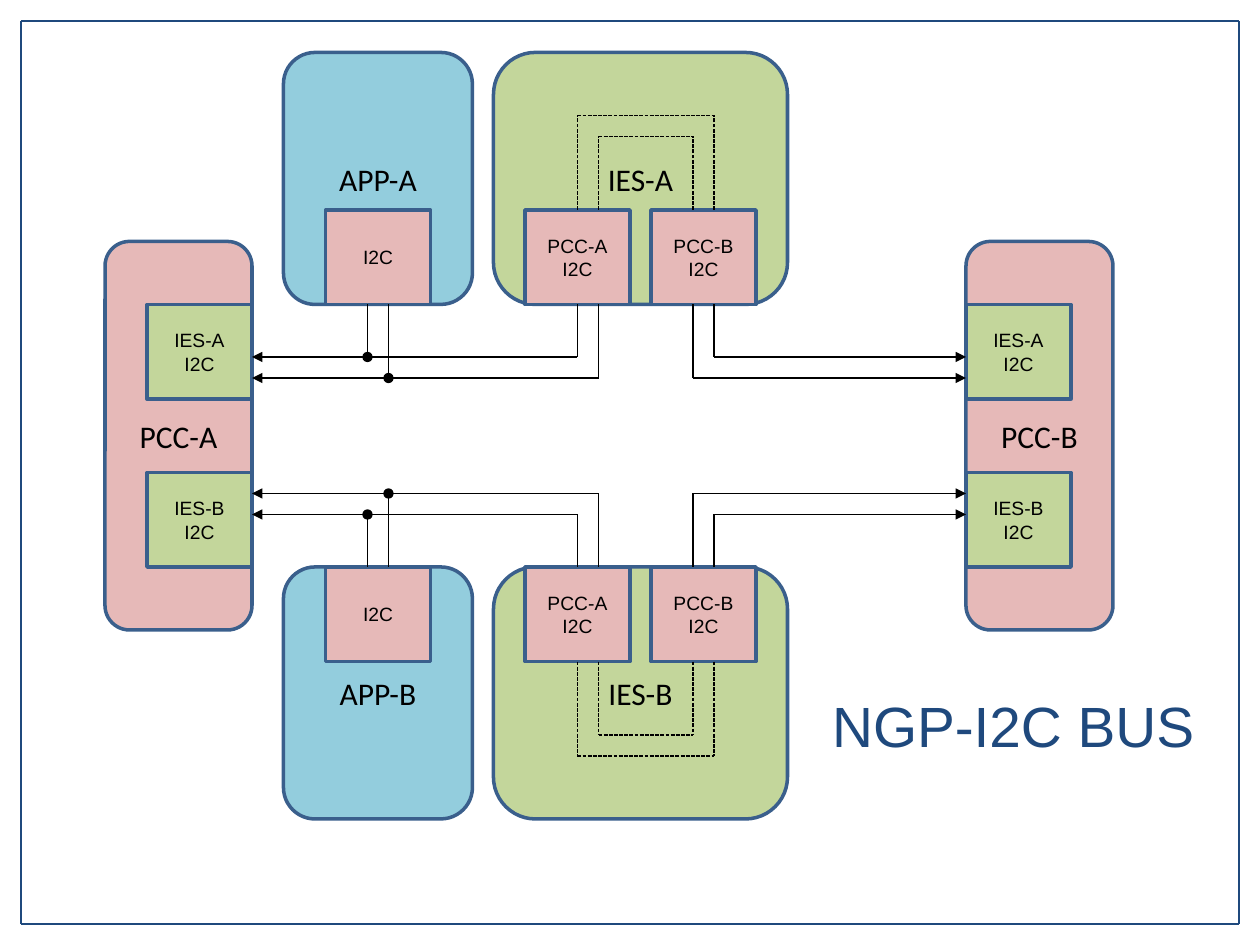
from pptx import Presentation
from pptx.dml.color import RGBColor
from pptx.enum.dml import MSO_LINE
from pptx.enum.shapes import MSO_CONNECTOR, MSO_SHAPE
from pptx.enum.text import MSO_ANCHOR, PP_ALIGN
from pptx.oxml.ns import qn
from pptx.util import Inches, Pt
from lxml.etree import SubElement

PINK = RGBColor(0xE6, 0xB9, 0xB8)
GREEN = RGBColor(0xC3, 0xD6, 0x9B)
BLUE = RGBColor(0x93, 0xCD, 0xDD)
OUTLINE = RGBColor(0x3A, 0x5F, 0x8C)
NAVY = RGBColor(0x1F, 0x49, 0x7D)
BLACK = RGBColor(0, 0, 0)

COLUMNS, ROWS = 120, 90
CELL = Inches(10) / COLUMNS
MIRROR = 83
PORT_WIDTH, PORT_HEIGHT = 10, 9
MODULE_HEIGHT = 24


def grid(*counts):
    return [round(count * CELL) for count in counts]


def set_text(shape, text, size, font, color):
    frame = shape.text_frame
    frame.word_wrap = True
    frame.vertical_anchor = MSO_ANCHOR.MIDDLE
    frame.text = text
    for paragraph in frame.paragraphs:
        paragraph.alignment = PP_ALIGN.CENTER
        for run in paragraph.runs:
            run.font.size = Pt(size)
            run.font.name = font
            run.font.color.rgb = color


def add_block(slide, kind, box, fill, text, size, font):
    shape = slide.shapes.add_shape(kind, *grid(*box))
    shape.shadow.inherit = False
    shape.fill.solid()
    shape.fill.fore_color.rgb = fill
    shape.line.color.rgb = OUTLINE
    shape.line.width = Pt(2)
    set_text(shape, text, size, font, BLACK)


def add_module(slide, box, fill, name, port_fill, ports):
    left, top = box[:2]
    add_block(slide, MSO_SHAPE.ROUNDED_RECTANGLE, box, fill, name, 18, "Calibri")
    for column, row, text in ports:
        port = (left + column, top + row, PORT_WIDTH, PORT_HEIGHT)
        add_block(slide, MSO_SHAPE.RECTANGLE, port, port_fill, text, 11, "Arial")


def add_wire(slide, start, end, color=BLACK, head=None, dashed=False):
    wire = slide.shapes.add_connector(MSO_CONNECTOR.STRAIGHT, *grid(*start, *end))
    wire.line.color.rgb = color
    wire.line.width = Pt(0.75)
    if dashed:
        wire.line.dash_style = MSO_LINE.SQUARE_DOT
    properties = wire.element.spPr
    if head:
        SubElement(properties.find(qn("a:ln")), qn("a:headEnd"), type=head)
    SubElement(properties, qn("a:effectLst"))


def add_controller(slide, box, name, port_column):
    ports = [(port_column, 6, "IES-A\nI2C"), (port_column, 22, "IES-B\nI2C")]
    add_module(slide, box, PINK, name, GREEN, ports)


def add_module_row(slide, top, port_row, suffix):
    add_module(slide, (47, top, 28, MODULE_HEIGHT), GREEN, f"IES-{suffix}", PINK,
               [(3, port_row, "PCC-A\nI2C"), (15, port_row, "PCC-B\nI2C")])
    add_module(slide, (27, top, 18, MODULE_HEIGHT), BLUE, f"APP-{suffix}", PINK,
               [(4, port_row, "I2C")])


def add_bus(slide, place_row):
    edge, port_back = place_row(29), place_row(20)
    for bus, left, right, tap, loop in ((34, 55, 68, 35, 11), (36, 57, 66, 37, 13)):
        bus_row, loop_row = place_row(bus), place_row(loop)
        add_wire(slide, (24, bus_row), (left, bus_row), head="triangle")
        add_wire(slide, (92, bus_row), (right, bus_row), head="triangle")
        add_wire(slide, (tap, bus_row), (tap, edge), head="oval")
        add_wire(slide, (left, loop_row), (right, loop_row), dashed=True)
        for column in (left, right):
            add_wire(slide, (column, bus_row), (column, edge))
            add_wire(slide, (column, port_back), (column, loop_row), dashed=True)


def add_frame(slide, left, top, right, bottom):
    corners = [(left, top), (right, top), (right, bottom), (left, bottom)]
    for start, end in zip(corners, corners[1:] + corners[:1]):
        add_wire(slide, start, end, NAVY)


def add_title(slide, box):
    title = slide.shapes.add_textbox(*grid(*box))
    set_text(title, "NGP-I2C BUS", 32.4, "Arial", NAVY)


presentation = Presentation()
presentation.slide_width, presentation.slide_height = grid(COLUMNS, ROWS)
slide = presentation.slides.add_slide(presentation.slide_layouts[6])

add_title(slide, (77, 64, 39, 10))
add_controller(slide, (10, 23, 14, 37), "PCC-A", 4)
add_controller(slide, (92, 23, 14, 37), "PCC-B", 0)
add_module_row(slide, 5, MODULE_HEIGHT - PORT_HEIGHT, "A")
add_module_row(slide, MIRROR - 5 - MODULE_HEIGHT, 0, "B")
add_bus(slide, lambda row: row)
add_bus(slide, lambda row: MIRROR - row)
add_frame(slide, 2, 2, COLUMNS - 2, ROWS - 2)

presentation.save("out.pptx")
